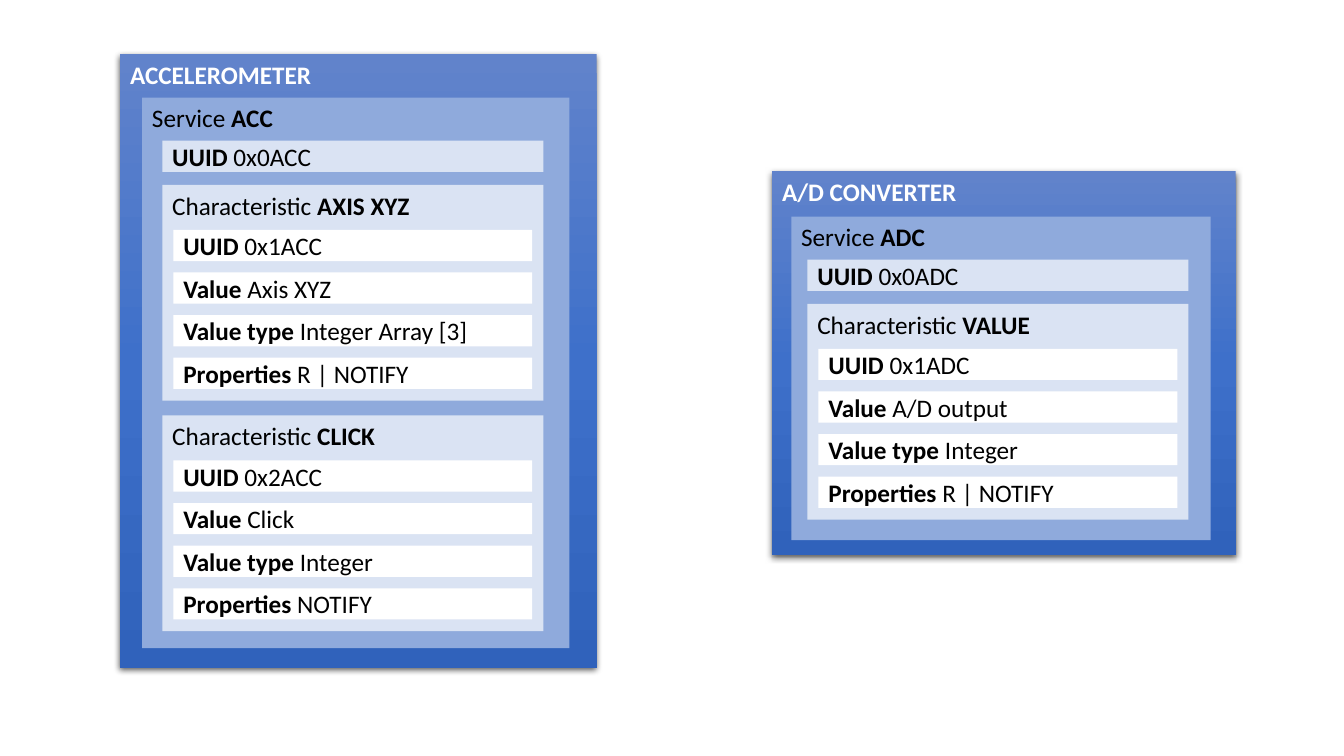
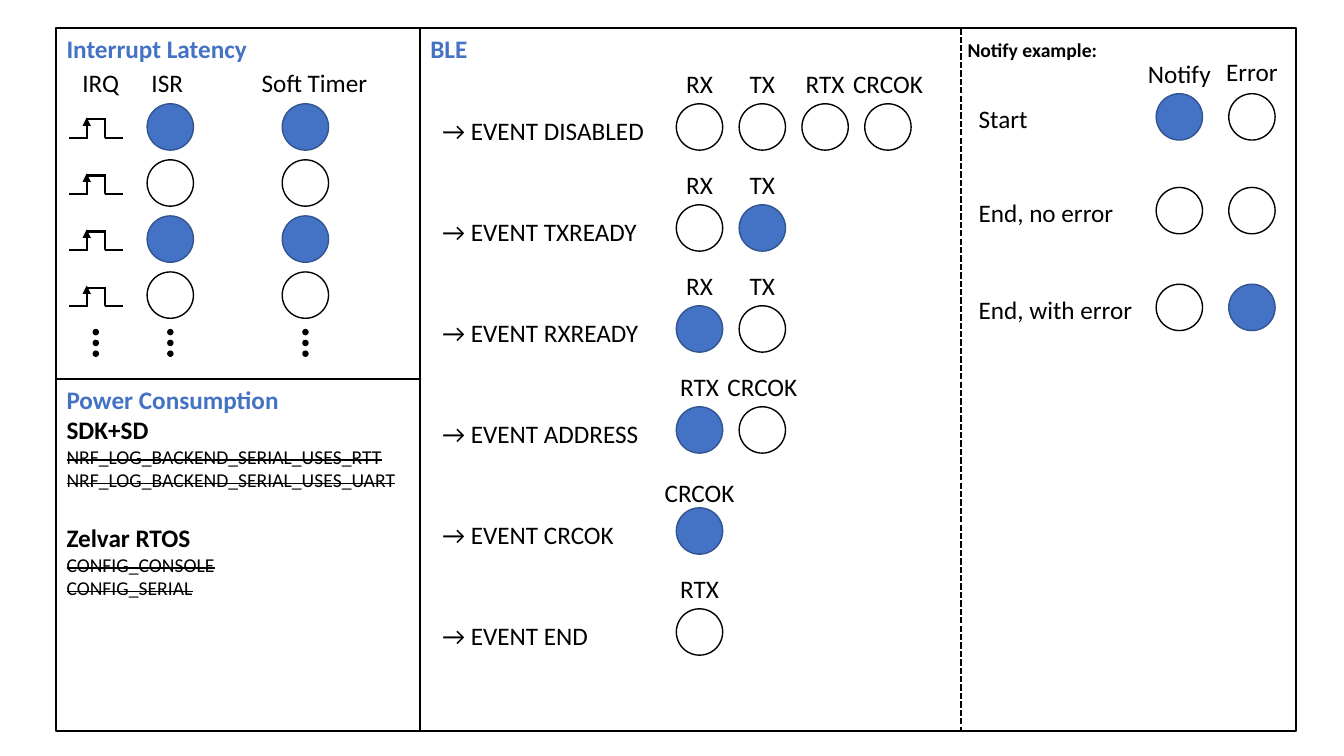
import copy
import pptx
import pptx.util
import pptx.dml.color
import pptx.enum.dml
import pptx.enum.shapes
import pptx.enum.text
import pptx.oxml
import pptx.oxml.ns

# The grid: every column and row is a tenth of an inch
CELL = 91440
WIDE, HIGH = 133.33, 75

FONT = "Calibri"
INK = {
    "black": "000000", "white": "FFFFFF", "blue": "4472C4", "edge": "325491",
    "mid": "8FAADC", "pale": "DAE3F3",
    "top": "6183CB", "core": "3E70CA", "base": "3062BB",
}
FADE = ((0, "top"), (0.5, "core"), (1, "base"))
SHADE = ('<a:outerShdw xmlns:a="http://schemas.openxmlformats.org/drawingml/2006/main" '
         'blurRad="57150" dist="19050" dir="5400000" algn="ctr" rotWithShape="0">'
         '<a:srgbClr val="000000"><a:alpha val="63000"/></a:srgbClr></a:outerShdw>')

KIND = pptx.enum.shapes.MSO_SHAPE
ALIGN = pptx.enum.text.PP_ALIGN
ANCHOR = pptx.enum.text.MSO_ANCHOR
qn = pptx.oxml.ns.qn


def hue(name):
    return pptx.dml.color.RGBColor.from_string(INK[name])


def grid(*cells):
    return [round(cell * CELL) for cell in cells]


def put(frame, text, size=18, ink="black", bold=False, strike=False,
        gap=0, align=ALIGN.LEFT):
    """Add one paragraph; parts between asterisks are bold."""
    para = frame.add_paragraph() if frame.text else frame.paragraphs[0]
    para.alignment = align
    para.space_before = pptx.util.Pt(gap)
    for i, part in enumerate(text.split("*")):
        if not part:
            continue
        run = para.add_run()
        run.text = part
        font = run.font
        font.name, font.size = FONT, pptx.util.Pt(size)
        font.bold = bold or i % 2 == 1
        font.color.rgb = hue(ink)
        if strike:
            run._r.get_or_add_rPr().set("strike", "sngStrike")
    return para


class Deck:
    """The shared style and the current slide."""

    def __init__(self):
        self.file = pptx.Presentation()
        self.file.slide_width, self.file.slide_height = grid(WIDE, HIGH)

    def page(self, layout):
        self.slide = self.file.slides.add_slide(self.file.slide_layouts[layout])
        self.shapes = self.slide.shapes

    def shape(self, kind, box, fill, line=None, width=1):
        item = self.shapes.add_shape(kind, *grid(*box))
        item.shadow.inherit = False
        item.fill.solid()
        item.fill.fore_color.rgb = hue(fill)
        if line:
            item.line.color.rgb = hue(line)
            item.line.width = pptx.util.Pt(width)
        else:
            item.line.fill.background()
        return item

    def box(self, box, fill, text="", anchor=ANCHOR.TOP, line=None, **style):
        item = self.shape(KIND.RECTANGLE, box, fill, line, 1.5)
        item.text_frame.vertical_anchor = anchor
        if text:
            put(item.text_frame, text, **style)
        return item

    def case(self, box, text=""):
        """A box with the blue gradient and a soft shadow."""
        item = self.box(box, "core", text, ink="white", bold=True)
        item.fill.gradient()
        item.fill.gradient_angle = 270
        props = item._element.spPr
        stops = props.find(".//" + qn("a:gsLst"))
        stops.append(copy.deepcopy(stops[0]))
        for stop, (place, name) in zip(item.fill.gradient_stops, FADE):
            stop.position = place
            stop.color.rgb = hue(name)
        props.find(qn("a:effectLst")).append(pptx.oxml.parse_xml(SHADE))

    def holder(self, item, box):
        """Move a placeholder to the front and return its cleared frame."""
        item.left, item.top, item.width, item.height = grid(*box)
        self.shapes._spTree.append(item._element)
        frame = item.text_frame
        frame.auto_size = pptx.enum.text.MSO_AUTO_SIZE.NONE
        frame.vertical_anchor = ANCHOR.TOP
        return frame

    def title(self, text, box, ink):
        put(self.holder(self.shapes.title, box), text, ink=ink, bold=True)

    def items(self, lines, box):
        frame = self.holder(self.slide.placeholders[1], box)
        for text, style in lines:
            props = put(frame, text, **style)._p.get_or_add_pPr()
            props.set("marL", "0")
            props.set("indent", "0")
            props.append(props.makeelement(qn("a:buNone"), {}))

    def note(self, text, x, y, wide=30, **style):
        item = self.shapes.add_textbox(*grid(x, y, wide, 4))
        item.text_frame.word_wrap = True
        put(item.text_frame, text, **style)

    def label(self, text, mid, y):
        self.note(text, mid - 8, y, 16, align=ALIGN.CENTER)

    def lamp(self, mid, y, lit):
        fill, line = ("blue", "edge") if lit else ("white", "black")
        self.shape(KIND.OVAL, (mid - 2.3, y, 4.6, 4.6), fill, line)

    def line(self, x1, y1, x2, y2, dash=False, arrow=False):
        link = self.shapes.add_connector(
            pptx.enum.shapes.MSO_CONNECTOR.STRAIGHT, *grid(x1, y1, x2, y2))
        link.line.color.rgb = hue("black")
        link.line.width = pptx.util.Pt(1.5)
        if dash:
            link.line.dash_style = pptx.enum.dml.MSO_LINE.SQUARE_DOT
        if arrow:
            edge = link.line._get_or_add_ln()
            edge.append(edge.makeelement(qn("a:tailEnd"), {"type": "triangle"}))
        props = link._element.spPr
        props.append(props.makeelement(qn("a:effectLst"), {}))

    def pulse(self, y):
        low, high = y + 3.4, y + 1.55
        self.line(6.8, low, 8.6, low)
        self.line(10.4, high, 10.4, low)
        self.line(8.6, high, 10.5, high)
        self.line(10.4, low, 12.2, low)
        self.line(8.6, low + 0.1, 8.6, high - 0.2, arrow=True)

    def service(self, box, inset, name, code, traits):
        """A service box with its code and its characteristics."""
        x, y = box[0] + inset, box[1] + 4.25
        self.box(box, "mid", f"Service *{name}*")
        self.box((x, y, 37.8, 3.1), "pale", f"*UUID* {code}", ANCHOR.MIDDLE)
        for i, (trait, *values) in enumerate(traits):
            top = y + 4.4 + 22.87 * i
            self.box((x, top, 37.8, 21.4), "pale", f"Characteristic *{trait}*")
            for k, (key, value) in enumerate(zip(KEYS, values)):
                self.box((x + 1.1, top + 4.45 + 4.23 * k, 35.6, 3.1), "white",
                         f"*{key}* {value}", ANCHOR.MIDDLE)


KEYS = ("UUID", "Value", "Value type", "Properties")
AXIS = ("AXIS XYZ", "0x1ACC", "Axis XYZ", "Integer Array [3]", "R | NOTIFY")
CLICK = ("CLICK", "0x2ACC", "Click", "Integer", "NOTIFY")
VALUE = ("VALUE", "0x1ADC", "A/D output", "Integer", "R | NOTIFY")

# Each event with its lamps: name and whether lit
EVENTS = (
    ("DISABLED", (("RX", 0), ("TX", 0), ("RTX", 0), ("CRCOK", 0))),
    ("TXREADY", (("RX", 0), ("TX", 1))),
    ("RXREADY", (("RX", 1), ("TX", 0))),
    ("ADDRESS", (("RTX", 1), ("CRCOK", 0))),
    ("CRCOK", (("CRCOK", 1),)),
    ("END", (("RTX", 0),)),
)
STATES = (("Start", 9.3, 1, 0), ("End, no error", 18.6, 0, 0),
          ("End, with error", 28.2, 0, 1))
HEAD = {"bold": True}
OFF = {"size": 14, "strike": True}
POWER = (
    ("Power Consumption", {"bold": True, "ink": "blue"}),
    ("SDK+SD", HEAD),
    ("NRF_LOG_BACKEND_SERIAL_USES_RTT", OFF),
    ("NRF_LOG_BACKEND_SERIAL_USES_UART", OFF),
    ("Zelvar RTOS", {"bold": True, "gap": 22}),
    ("CONFIG_CONSOLE", OFF),
    ("CONFIG_SERIAL", OFF),
)


def devices(deck):
    deck.page(5)
    left = (11.9, 5.4, 47.3, 60.9)
    deck.case(left)
    deck.title("ACCELEROMETER", left, "white")
    deck.service((14.1, 9.7, 42.4, 54.6), 2, "ACC", "0x0ACC", (AXIS, CLICK))
    deck.case((76.6, 17, 46, 38.1), "A/D CONVERTER")
    deck.service((78.5, 21.5, 41.6, 32.1), 1.6, "ADC", "0x0ADC", (VALUE,))


def signals(deck):
    deck.page(1)

    # Panels
    upper, lower = (5.6, 2.8, 36.1, 35), (5.6, 37.6, 36.1, 34.9)
    deck.box((41.7, 2.8, 86.9, 69.7), "white", "BLE", line="black",
             ink="blue", bold=True)
    for area in (upper, lower):
        deck.box(area, "white", line="black")
    deck.title("Interrupt Latency", upper, "blue")
    deck.items(POWER, lower)
    deck.line(95.3, 2.8, 95.3, 72.5, dash=True)

    # Interrupt latency
    for text, mid in (("IRQ", 10), ("ISR", 16.6), ("Soft Timer", 31.2)):
        deck.label(text, mid, 6.2)
    for i in range(4):
        y = 10.3 + 5.56 * i
        deck.pulse(y)
        for mid in (16.9, 30.3):
            deck.lamp(mid, y, i % 2 == 0)
    for mid in (9.5, 16.9, 30.3):
        for k in range(3):
            deck.shape(KIND.OVAL, (mid - 0.25, 32.7 + 1.07 * k, 0.5, 0.5),
                       "black", "black")

    # Radio events
    for i, (event, lamps) in enumerate(EVENTS):
        y = 10.3 + 10.02 * i
        deck.note(f"→ EVENT {event}", 42.9, y + 0.6)
        lift = 3.5 if event == "CRCOK" else 4
        for k, (name, lit) in enumerate(lamps):
            mid = 69.4 + 6.23 * k
            deck.lamp(mid, y, lit)
            deck.label(name, mid, y - lift)

    # Notify example
    deck.note("Notify example:", 95, 3.3, size=14, bold=True)
    deck.label("Notify", 117, 5.3)
    deck.label("Error", 124.2, 5.1)
    for text, y, sent, fault in STATES:
        deck.note(text, 96.1, y + 0.5, 20)
        deck.lamp(117, y, sent)
        deck.lamp(124.2, y, fault)


def main():
    deck = Deck()
    devices(deck)
    signals(deck)
    deck.file.save("out.pptx")


if __name__ == "__main__":
    main()
